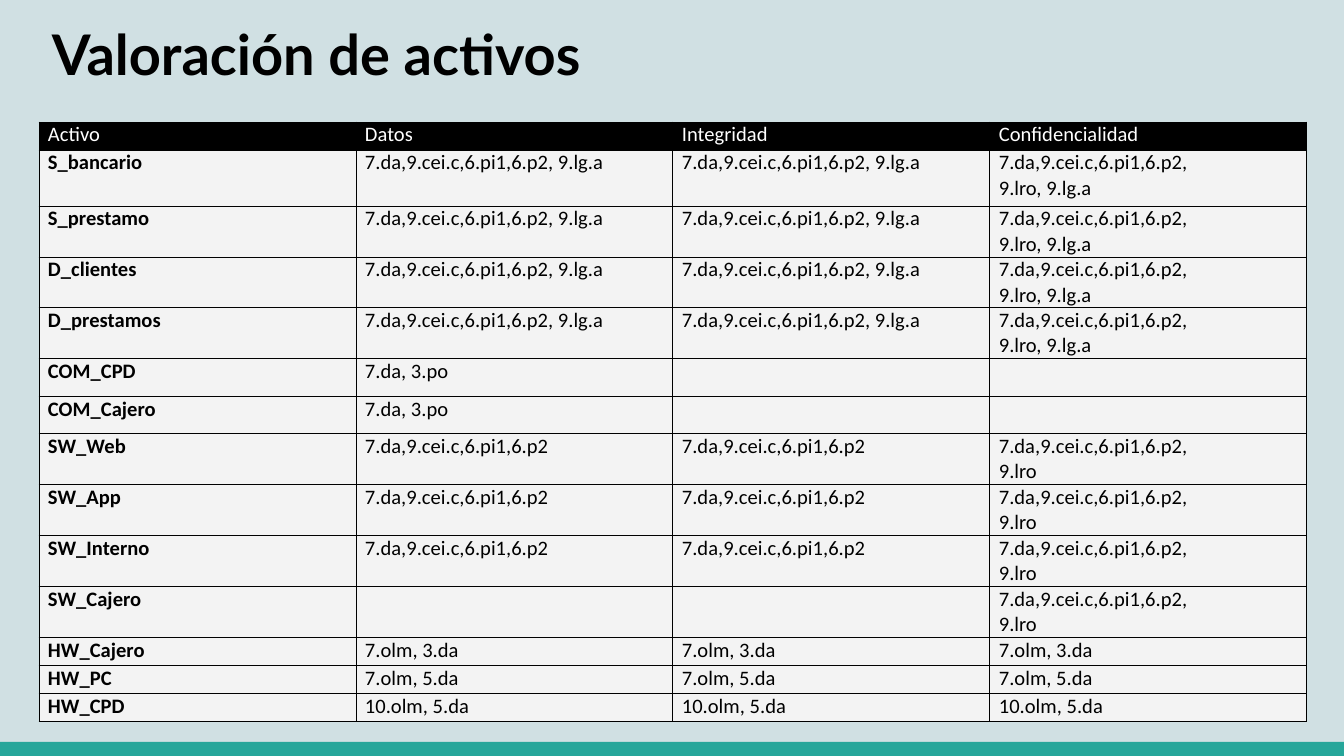
from lxml.etree import SubElement
from pptx import Presentation
from pptx.dml.color import RGBColor
from pptx.enum.shapes import MSO_SHAPE as Shape
from pptx.enum.text import MSO_ANCHOR as Anchor
from pptx.oxml.ns import qn
from pptx.util import Emu, Pt

TITLE = "Valoración de activos"
HEAD = ["Activo", "Datos", "Integridad", "Confidencialidad"]
BASE = "7.da,9.cei.c,6.pi1,6.p2"
FULL = [BASE + ", 9.lg.a"] * 2 + [BASE + ",\n9.lro, 9.lg.a"]
LAST = BASE + ",\n9.lro"
SOFT = [BASE, BASE, LAST]
COM = ["7.da, 3.po", "", ""]
ROWS = [
    (28, HEAD),
    (56, ["S_bancario", *FULL]),
    (51, ["S_prestamo", *FULL]),
    (51, ["D_clientes", *FULL]),
    (51, ["D_prestamos", *FULL]),
    (38, ["COM_CPD", *COM]),
    (37, ["COM_Cajero", *COM]),
    (51, ["SW_Web", *SOFT]),
    (51, ["SW_App", *SOFT]),
    (51, ["SW_Interno", *SOFT]),
    (51, ["SW_Cajero", "", "", LAST]),
    (28, ["HW_Cajero"] + ["7.olm, 3.da"] * 3),
    (28, ["HW_PC"] + ["7.olm, 5.da"] * 3),
    (28, ["HW_CPD"] + ["10.olm, 5.da"] * 3),
]
WIDE, HIGH = 1344, 756
COL = 317
BLACK, WHITE, PALE = "000000", "FFFFFF", "F3F3F3"


def px(n):
    return Emu(round(n * 9144000 / WIDE))


def paint(fill, tint):
    fill.solid()
    fill.fore_color.rgb = RGBColor.from_string(tint)


def write(frame, text, size=11, font="Calibri", tint=BLACK, bold=False):
    frame.word_wrap = True
    for i, line in enumerate(text.split("\n")):
        para = frame.add_paragraph() if i else frame.paragraphs[0]
        if not line:
            SubElement(para._p, qn("a:endParaRPr"), sz=str(size * 100))
            continue
        run = para.add_run()
        run.text = line
        run.font.size = Pt(size)
        run.font.name = font
        run.font.bold = bold
        run.font.color.rgb = RGBColor.from_string(tint)


def border(cell):
    props = cell._tc.get_or_add_tcPr()
    for side in ("L", "R", "T", "B"):
        line = SubElement(props, qn("a:ln" + side), w=str(Pt(0.5)))
        fill = SubElement(line, qn("a:solidFill"))
        SubElement(fill, qn("a:srgbClr"), val=BLACK)


deck = Presentation()
deck.slide_width, deck.slide_height = px(WIDE), px(HIGH)
slide = deck.slides.add_slide(deck.slide_layouts[6])
paint(slide.background.fill, "D0E0E3")

bar = slide.shapes.add_shape(Shape.RECTANGLE, 0, px(742), px(WIDE), px(14))
bar.shadow.inherit = False
paint(bar.fill, "26A69A")
bar.line.fill.background()

title = slide.shapes.add_textbox(px(39), px(7), px(1253), px(90)).text_frame
title.margin_left = title.margin_right = px(13)
title.margin_top = title.margin_bottom = px(13)
write(title, TITLE, size=30, font="Lato", bold=True)

total = sum(high for high, _ in ROWS)
table = slide.shapes.add_table(
    len(ROWS), len(HEAD), px(39), px(122), px(COL * len(HEAD)), px(total)
).table
table.first_row = table.horz_banding = False
for col in table.columns:
    col.width = px(COL)
for r, (high, texts) in enumerate(ROWS):
    table.rows[r].height = px(high)
    for c, text in enumerate(texts):
        cell = table.cell(r, c)
        cell.margin_left = cell.margin_right = px(9)
        cell.margin_top = cell.margin_bottom = 0
        cell.vertical_anchor = Anchor.TOP
        border(cell)
        paint(cell.fill, PALE if r else BLACK)
        write(cell.text_frame, text, tint=BLACK if r else WHITE,
              bold=r > 0 and c == 0)

deck.save("out.pptx")
